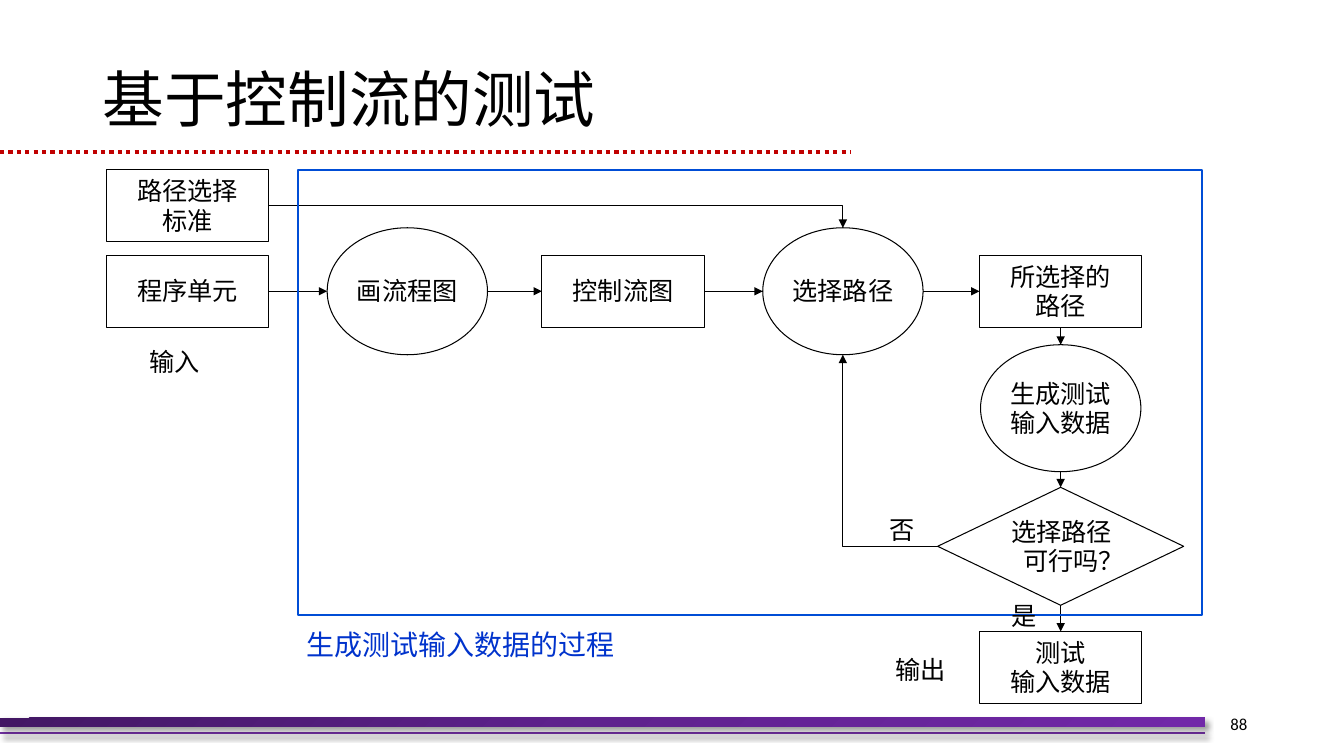
from lxml import etree
from pptx import Presentation, util as u
from pptx.dml.color import RGBColor
from pptx.enum import dml, shapes, text
from pptx.oxml import ns

FONT = "Noto Sans CJK SC"
BLACK, BLUE, FRAME_BLUE = "000000", "0033CC", "004DD6"
PURPLE, RED = "7030A0", "C00000"
LEFT, CENTER, RIGHT = text.PP_ALIGN.LEFT, text.PP_ALIGN.CENTER, text.PP_ALIGN.RIGHT
RECT, OVAL, DIAMOND = (shapes.MSO_SHAPE.RECTANGLE, shapes.MSO_SHAPE.OVAL,
                       shapes.MSO_SHAPE.DIAMOND)

# Grid: centres of the node columns and rows, and node sizes, in inches
COLUMNS = [1.86, 4.04, 6.18, 8.36, 10.52]
ROWS = [2.04, 2.89, 4.05, 5.42, 6.62]
SIZES = {RECT: (1.61, 0.71), OVAL: (1.59, 1.26), DIAMOND: (2.44, 1.17)}
TOP, LEFT_SIDE, BOTTOM, RIGHT_SIDE = range(4)


def color(value):
    return RGBColor.from_string(value)


def add_child(parent, tag, **attributes):
    child = etree.SubElement(parent, ns.qn(tag))
    for name, value in attributes.items():
        child.set(name, str(value))
    return child


def style_line(shape, line_color, width):
    shape.line.color.rgb = color(line_color)
    shape.line.width = u.Pt(width)


def add_arrowhead(shape):
    add_child(shape.line._get_or_add_ln(), "a:tailEnd", type="triangle")


def add_effects(shape, shadow=False):
    """Replace the theme's shadow by none, or by the footer's soft one."""
    effects = add_child(shape._element.spPr, "a:effectLst")
    if shadow:
        outer = add_child(effects, "a:outerShdw", blurRad=u.Pt(4), dist=u.Pt(3),
                          dir=45 * 60000, algn="tl", rotWithShape=0)
        add_child(add_child(outer, "a:srgbClr", val=BLACK), "a:alpha", val=40000)


def write(shape, content, size=18, font_color=BLACK, align=CENTER, font=FONT,
          spacing=None, margin=0.0):
    frame = shape.text_frame
    frame.word_wrap = True
    frame.vertical_anchor = text.MSO_ANCHOR.MIDDLE
    frame.margin_left = frame.margin_right = u.Inches(margin)
    frame.margin_top = frame.margin_bottom = 0
    frame.text = content
    paragraph = frame.paragraphs[0]
    paragraph.alignment = align
    if spacing:
        paragraph.line_spacing = spacing
    for run in paragraph.runs:
        run.font.name = font
        run.font.size = u.Pt(size)
        run.font.color.rgb = color(font_color)
        add_child(run.font._element, "a:ea", typeface=font)
    return paragraph


def add_label(slide, box, content, **style):
    shape = slide.shapes.add_textbox(*map(u.Inches, box))
    return write(shape, content, **style)


def add_node(slide, kind, column, row, content=""):
    width, height = SIZES[kind]
    shape = slide.shapes.add_shape(
        kind, u.Inches(COLUMNS[column] - width / 2), u.Inches(ROWS[row] - height / 2),
        u.Inches(width), u.Inches(height))
    shape.shadow.inherit = False
    shape.fill.background()
    style_line(shape, BLACK, 0.75)
    if content:
        write(shape, content, spacing=u.Pt(21))
    return shape


def side_point(shape, side):
    middle_x = shape.left + shape.width // 2
    middle_y = shape.top + shape.height // 2
    return {TOP: (middle_x, shape.top), LEFT_SIDE: (shape.left, middle_y),
            BOTTOM: (middle_x, shape.top + shape.height),
            RIGHT_SIDE: (shape.left + shape.width, middle_y)}[side]


def add_line(slide, start, end, line_color=BLACK, width=0.75, shadow=False):
    line = slide.shapes.add_connector(shapes.MSO_CONNECTOR.STRAIGHT, *start, *end)
    style_line(line, line_color, width)
    add_effects(line, shadow)
    return line


def add_arrow(slide, source, source_side, target, target_side):
    arrow = add_line(slide, side_point(source, source_side),
                     side_point(target, target_side))
    add_arrowhead(arrow)
    # An oval numbers its joints differently, so only the others are joined
    if source.auto_shape_type != OVAL:
        arrow.begin_connect(source, source_side)
    if target.auto_shape_type != OVAL:
        arrow.end_connect(target, target_side)


def add_bent_arrow(slide, start, end):
    """Go sideways from start, then vertically to end."""
    builder = slide.shapes.build_freeform(*start)
    builder.add_line_segments([(end[0], start[1]), end], close=False)
    arrow = builder.convert_to_shape()
    arrow.shadow.inherit = False
    arrow.fill.background()
    style_line(arrow, BLACK, 0.75)
    add_arrowhead(arrow)


def add_decoration(slide):
    width = u.Inches(11.95)
    add_line(slide, (0, u.Inches(7.27)), (width, u.Inches(7.27)), PURPLE, 1.5, True)
    bar = slide.shapes.add_shape(RECT, 0, u.Inches(7.12), width, u.Inches(0.09))
    bar.line.fill.background()
    bar.fill.gradient()
    bar.fill.gradient_angle = 315
    stops = bar._element.spPr.find(".//" + ns.qn("a:gsLst"))
    for stop in list(stops):
        stops.remove(stop)
    for position, value in ((0, "431764"), (50, "5F218E"), (100, "7128A8")):
        add_child(add_child(stops, "a:gs", pos=position * 1000), "a:srgbClr", val=value)
    add_effects(bar, shadow=True)
    rule = add_line(slide, (0, u.Inches(1.51)), (u.Inches(8.44), u.Inches(1.51)), RED, 3)
    rule.line.dash_style = dml.MSO_LINE.ROUND_DOT


def add_flow(slide):
    # Nodes
    criteria = add_node(slide, RECT, 0, 0, "路径选择\v标准")
    unit = add_node(slide, RECT, 0, 1, "程序单元")
    draw = add_node(slide, OVAL, 1, 1, "画流程图")
    graph = add_node(slide, RECT, 2, 1, "控制流图")
    select = add_node(slide, OVAL, 3, 1, "选择路径")
    selected = add_node(slide, RECT, 4, 1, "所选择的\v路径")
    generate = add_node(slide, OVAL, 4, 2, "生成测试\v输入数据")
    feasible = add_node(slide, DIAMOND, 4, 3)
    result = add_node(slide, RECT, 4, 4, "测试\v输入数据")

    # Arrows along the row, down the column, and round the corners
    across = [unit, draw, graph, select, selected]
    for source, target in zip(across, across[1:]):
        add_arrow(slide, source, RIGHT_SIDE, target, LEFT_SIDE)
    down = [selected, generate, feasible, result]
    for source, target in zip(down, down[1:]):
        add_arrow(slide, source, BOTTOM, target, TOP)
    add_bent_arrow(slide, side_point(feasible, LEFT_SIDE), side_point(select, BOTTOM))
    add_bent_arrow(slide, side_point(criteria, RIGHT_SIDE), side_point(select, TOP))

    # Frame round the process
    frame = slide.shapes.add_shape(RECT, *map(u.Inches, (2.96, 1.69, 8.96, 4.41)))
    frame.shadow.inherit = False
    frame.fill.background()
    style_line(frame, FRAME_BLUE, 1.5)


def add_labels(slide):
    for left, top, width, content in ((1.48, 3.42, 0.53, "输入"), (8.88, 6.48, 0.53, "输出"),
                                      (8.82, 5.09, 0.28, "否"), (10.03, 5.94, 0.28, "是")):
        add_label(slide, (left, top, width, 0.33), content, align=LEFT)
    question = add_label(slide, (10.01, 5.11, 1.3, 0.62), "选择路径\v可行吗？",
                         align=LEFT, spacing=u.Pt(21))
    properties = question._p.get_or_add_pPr()
    properties.set("marL", str(u.Inches(0.14)))
    properties.set("indent", str(u.Inches(-0.12)))
    add_label(slide, (3.04, 6.21, 3.2, 0.36), "生成测试输入数据的过程", size=20,
              font_color=BLUE, align=LEFT)


def main():
    presentation = Presentation()
    presentation.slide_width = u.Inches(13.33)
    presentation.slide_height = u.Inches(7.5)
    slide = presentation.slides.add_slide(presentation.slide_layouts[6])
    add_decoration(slide)
    add_flow(slide)
    add_labels(slide)
    # Title and page number
    add_label(slide, (0.92, 0.29, 11.5, 1.45), "基于控制流的测试", size=44, align=LEFT,
              spacing=0.9, margin=0.1)
    add_label(slide, (11.38, 6.98, 1.09, 0.4), "88", size=12, align=RIGHT,
              font="Calibri", margin=0.1)
    presentation.save("out.pptx")


if __name__ == "__main__":
    main()
